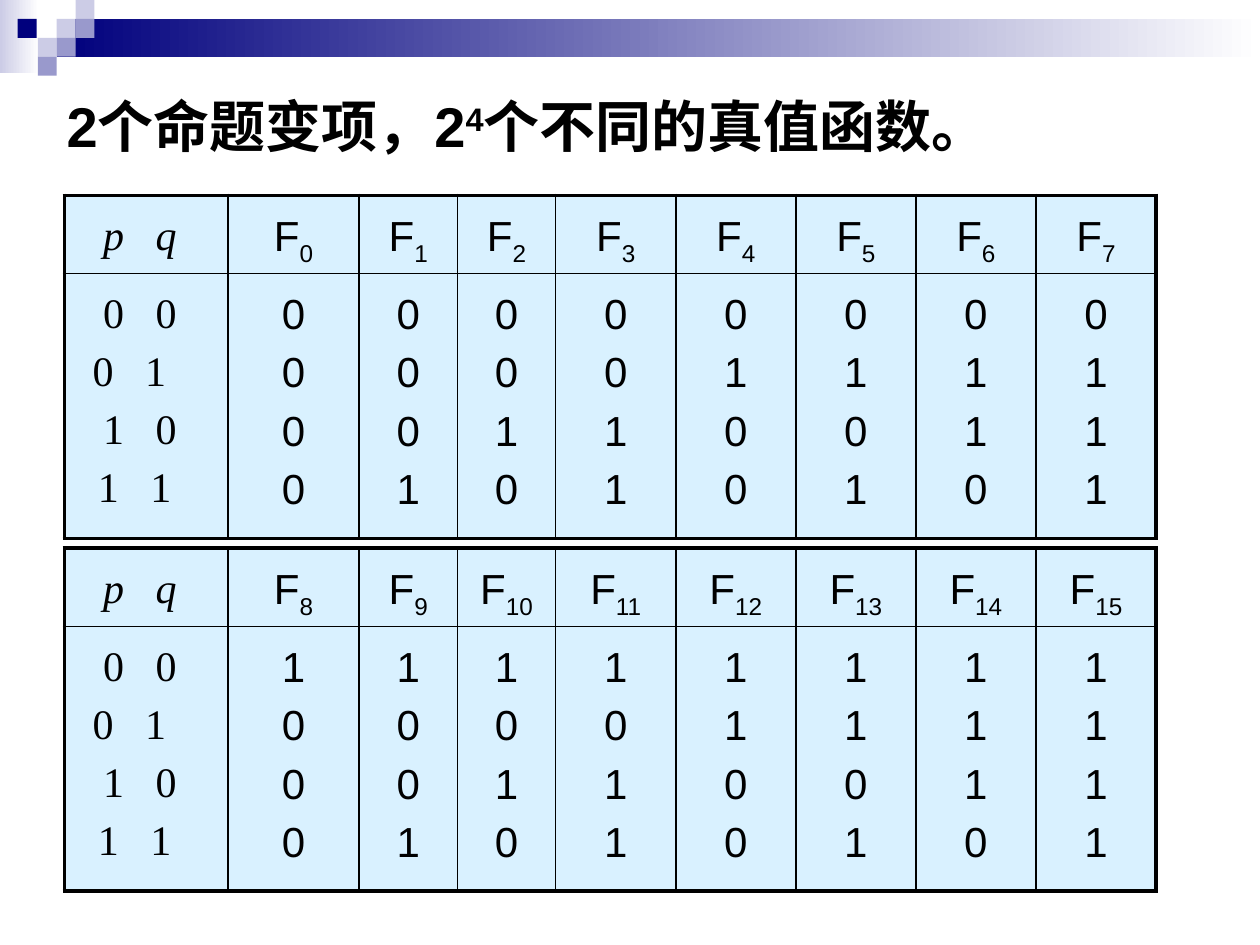
import lxml.etree
import pptx
import pptx.dml.color
import pptx.enum.shapes
import pptx.enum.text
import pptx.oxml.ns
import pptx.util

Pt = pptx.util.Pt
NAVY, LAVENDER, VIOLET = "00007D", "CCCCE6", "9999CC"
BLACK, WHITE, PALE_BLUE = "000000", "FFFFFF", "D9F1FF"
THIN, THICK = 1, 2.25
TILE = 10.8
COLUMN_WIDTHS = [93.6, 74.9, 56.2, 56.2] + [68.6] * 5
ROW_HEIGHTS = [42.8, 151.2]
VALUE_GAP = 30
ASSIGNMENTS = [("0\t0", 15), ("0\t1", 9), ("1\t0", 15), ("1\t1", 12)]
BODY = {"size": Pt(24), "name": "Arial"}
SERIF = {"size": Pt(24), "name": "Times New Roman"}
TITLE = {"size": Pt(32), "name": "Arial", "bold": True}


def rgb(value):
    return pptx.dml.color.RGBColor.from_string(value)


def add_run(p, text, fmt, baseline=0):
    r = p.add_run()
    r.text = text
    for name, value in fmt.items():
        setattr(r.font, name, value)
    r.font.color.rgb = rgb(BLACK)
    if baseline:
        r.font._element.set("baseline", str(baseline * 1000))


def add_rect(s, x, y, w, h, *colours):
    sp = s.shapes.add_shape(pptx.enum.shapes.MSO_SHAPE.RECTANGLE, Pt(x), Pt(y), Pt(w), Pt(h))
    sp.shadow.inherit = False
    sp.line.fill.background()
    if len(colours) == 1:
        sp.fill.solid()
        sp.fill.fore_color.rgb = rgb(colours[0])
    else:
        sp.fill.gradient()
        sp.fill.gradient_angle = 0
        for stop, colour in zip(sp.fill.gradient_stops, colours):
            stop.color.rgb = rgb(colour)


def add_banner(s):
    add_rect(s, 0, 0, 22.3, 41.8, LAVENDER, WHITE)
    add_rect(s, 32.4, TILE, 687.6, 21.6, NAVY, WHITE)
    tiles = [(32.4, 1, LAVENDER), (43.2, 0, LAVENDER), (43.2, 1, VIOLET), (21.6, 2, LAVENDER),
             (10.1, 1, NAVY), (32.4, 2, VIOLET), (21.6, 3, VIOLET)]
    for x, row, colour in tiles:
        add_rect(s, x, row * TILE, TILE, TILE, colour)


def add_title(s):
    sp = s.shapes.add_textbox(Pt(31), Pt(49), Pt(658), Pt(46))
    tf = sp.text_frame
    tf.word_wrap = True
    tf.auto_size = pptx.enum.text.MSO_AUTO_SIZE.SHAPE_TO_FIT_TEXT
    p = tf.paragraphs[0]
    add_run(p, "2个命题变项，2", TITLE)
    add_run(p, "4", TITLE, 30)
    add_run(p, "个不同的真值函数。", TITLE)


def set_borders(cell, widths):
    tcPr = cell._tc.get_or_add_tcPr()
    for i, (side, width) in enumerate(widths.items()):
        ln = lxml.etree.Element(pptx.oxml.ns.qn("a:ln" + side), w=str(Pt(width)))
        fill = lxml.etree.SubElement(ln, pptx.oxml.ns.qn("a:solidFill"))
        lxml.etree.SubElement(fill, pptx.oxml.ns.qn("a:srgbClr"), val=BLACK)
        tcPr.insert(i, ln)


def style_cell(cell, row, col):
    cell.fill.solid()
    cell.fill.fore_color.rgb = rgb(PALE_BLUE)
    cell.margin_top = Pt(7.5)
    set_borders(cell, {
        "L": THICK if col == 0 else THIN,
        "R": THICK if col == len(COLUMN_WIDTHS) - 1 else THIN,
        "T": THICK if row == 0 else THIN,
        "B": THICK if row == 1 else THIN,
    })


def add_line(tf, first):
    p = tf.paragraphs[0] if first else tf.add_paragraph()
    p.line_spacing = 1.1
    if not first:
        p.space_before = Pt(4)
    return p


def add_pair(tf, text, offset, fmt, first):
    p = add_line(tf, first)
    p.alignment = pptx.enum.text.PP_ALIGN.LEFT
    pPr = p._p.get_or_add_pPr()
    pPr.set("marL", str(Pt(offset + VALUE_GAP)))
    pPr.set("indent", str(Pt(-VALUE_GAP)))
    add_run(p, text, fmt)


def add_centred(tf, text, first):
    p = add_line(tf, first)
    p.alignment = pptx.enum.text.PP_ALIGN.CENTER
    add_run(p, text, BODY)
    return p


def add_truth_table(s, y, start):
    frame = s.shapes.add_table(2, len(COLUMN_WIDTHS), Pt(36.7), Pt(y),
                               Pt(sum(COLUMN_WIDTHS)), Pt(sum(ROW_HEIGHTS)))
    table = frame.table
    table.first_row = table.horz_banding = False
    for column, width in zip(table.columns, COLUMN_WIDTHS):
        column.width = Pt(width)
    for row, height in zip(table.rows, ROW_HEIGHTS):
        row.height = Pt(height)
    for row in range(2):
        for col in range(len(COLUMN_WIDTHS)):
            style_cell(table.cell(row, col), row, col)

    add_pair(table.cell(0, 0).text_frame, "p\tq", 15, {**SERIF, "italic": True}, True)
    for i, (text, offset) in enumerate(ASSIGNMENTS):
        add_pair(table.cell(1, 0).text_frame, text, offset, SERIF, i == 0)
    for col in range(1, len(COLUMN_WIDTHS)):
        number = start + col - 1
        p = add_centred(table.cell(0, col).text_frame, "F", True)
        add_run(p, str(number), BODY, -25)
        for i, bit in enumerate(f"{number:04b}"):
            add_centred(table.cell(1, col).text_frame, bit, i == 0)


def main():
    prs = pptx.Presentation()
    prs.slide_width, prs.slide_height = Pt(720), Pt(540)
    s = prs.slides.add_slide(prs.slide_layouts[6])
    add_banner(s)
    add_truth_table(s, 111.6, 0)
    add_truth_table(s, 313.2, 8)
    add_title(s)
    prs.save("out.pptx")


if __name__ == "__main__":
    main()
